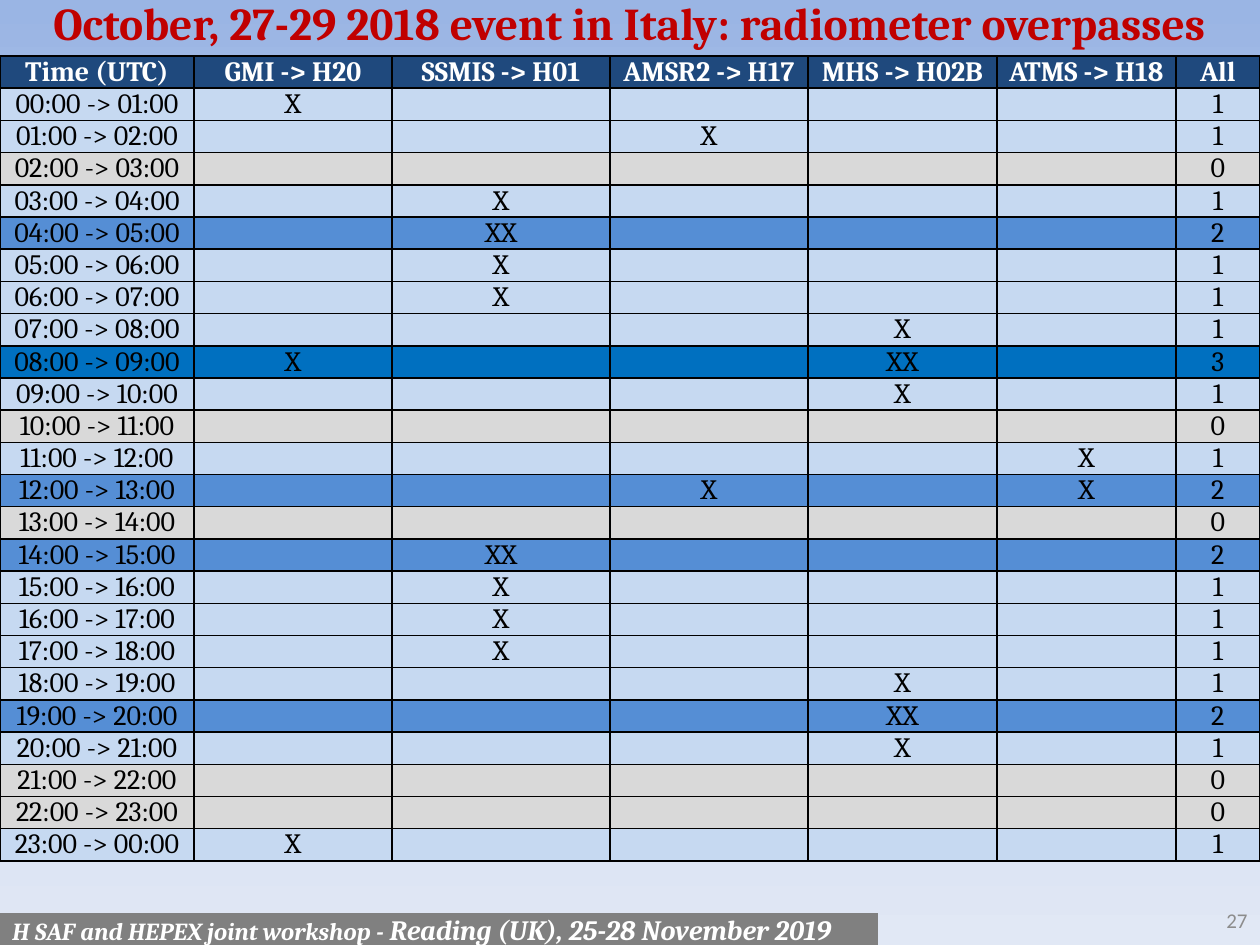
from copy import deepcopy

from lxml import etree
from pptx import Presentation
from pptx import util as u
from pptx.dml.color import RGBColor
from pptx.enum import shapes, text
from pptx.oxml.ns import qn

PX = u.Inches(1) // 126
COLORS = {
    "title": "C00000", "header": "1F497D", "white": "FFFFFF", "black": "000000",
    "footer": "808080", "number": "8C8C8C",
}
BACKGROUND = [(0, "9AB5E4"), (0.5, "C2D1ED"), (1, "E1E8F5")]
COUNT_FILLS = ["D9D9D9", "C6D9F1", "558ED5", "0070C0"]  # by overpasses per hour

HEADERS = ["Time (UTC)", "GMI -> H20", "SSMIS -> H01", "AMSR2 -> H17",
           "MHS -> H02B", "ATMS -> H18", "All"]
COLUMN_WIDTHS = [194, 198, 218, 198, 189, 179, 84]
HEADER_HEIGHT, ROW_HEIGHT = 30, 25
GMI, SSMIS, AMSR2, MHS, ATMS = range(1, 6)
OVERPASSES = {  # start hour: {column: marks}
    0: {GMI: "X"}, 1: {AMSR2: "X"}, 3: {SSMIS: "X"}, 4: {SSMIS: "XX"},
    5: {SSMIS: "X"}, 6: {SSMIS: "X"}, 7: {MHS: "X"}, 8: {GMI: "X", MHS: "XX"},
    9: {MHS: "X"}, 11: {ATMS: "X"}, 12: {AMSR2: "X", ATMS: "X"},
    14: {SSMIS: "XX"}, 15: {SSMIS: "X"}, 16: {SSMIS: "X"}, 17: {SSMIS: "X"},
    18: {MHS: "X"}, 19: {MHS: "XX"}, 20: {MHS: "X"}, 23: {GMI: "X"},
}


def rgb(value):
    return RGBColor.from_string(value)


def set_font(font, size, color, name="Cambria", bold=False, italic=False):
    font.name, font.size = name, u.Pt(size)
    font.bold, font.italic = bold, italic
    font.color.rgb = rgb(color)


def place(shape, left, top, width, height):
    shape.left, shape.top = left * PX, top * PX
    shape.width, shape.height = width * PX, height * PX


def paint_background(slide):
    fill = slide.background.fill
    fill.gradient()
    fill.gradient_angle = 270
    stop_list = slide.element.find(".//" + qn("a:gsLst"))
    stop_list.insert(1, deepcopy(stop_list[0]))
    for stop, (position, color) in zip(fill.gradient_stops, BACKGROUND):
        stop.position = position
        stop.color.rgb = rgb(color)


def add_title(slide):
    title = slide.shapes.title
    place(title, 0, 0, 1260, 45)
    frame = title.text_frame
    frame.text = "October, 27-29 2018 event in Italy: radiometer overpasses"
    frame.word_wrap = True
    frame.auto_size = text.MSO_AUTO_SIZE.NONE
    frame.vertical_anchor = text.MSO_ANCHOR.MIDDLE
    para = frame.paragraphs[0]
    para.alignment = text.PP_ALIGN.CENTER
    set_font(para.font, 26, COLORS["title"], bold=True)


def add_borders(cell):
    properties = cell._tc.get_or_add_tcPr()
    for side in ("a:lnL", "a:lnR", "a:lnT", "a:lnB"):
        line = etree.SubElement(properties, qn(side), w=str(u.Pt(1)))
        solid = etree.SubElement(line, qn("a:solidFill"))
        etree.SubElement(solid, qn("a:srgbClr"), val=COLORS["black"])


def fill_cell(cell, content, fill, color, bold):
    add_borders(cell)
    cell.fill.solid()
    cell.fill.fore_color.rgb = rgb(fill)
    cell.margin_left = cell.margin_right = cell.margin_top = cell.margin_bottom = 0
    cell.vertical_anchor = text.MSO_ANCHOR.BOTTOM
    cell.text = content
    para = cell.text_frame.paragraphs[0]
    para.alignment = text.PP_ALIGN.CENTER
    set_font(para.font, 16, color, bold=bold)
    if not content:  # an empty cell takes its line height from the end mark
        end = etree.SubElement(para._p, qn("a:endParaRPr"), sz="1600")
        etree.SubElement(end, qn("a:latin"), typeface="Cambria")


def hour_row(hour):
    """Return the cell texts of one hour and its number of overpasses."""
    marks = OVERPASSES.get(hour, {})
    total = sum(map(len, marks.values()))
    period = f"{hour:02}:00 -> {(hour + 1) % 24:02}:00"
    return [period, *(marks.get(col, "") for col in range(1, 6)), str(total)], total


def add_overpass_table(slide):
    holder = slide.shapes.add_table(25, len(HEADERS), 0, 56 * PX, 1260 * PX, 850 * PX)
    table = holder.table
    for column, width in zip(table.columns, COLUMN_WIDTHS):
        column.width = width * PX
    for index, row in enumerate(table.rows):
        if index == 0:
            row.height = HEADER_HEIGHT * PX
            contents, style = HEADERS, (COLORS["header"], COLORS["white"], True)
        else:
            row.height = ROW_HEIGHT * PX
            contents, total = hour_row(index - 1)
            style = (COUNT_FILLS[total], COLORS["black"], False)
        for cell, content in zip(row.cells, contents):
            fill_cell(cell, content, *style)
    place(holder, 0, 56, 1260, 850)


def add_footer(slide):
    bar = slide.shapes.add_shape(shapes.MSO_SHAPE.RECTANGLE, 0, 0, 0, 0)
    place(bar, 0, 913, 878, 32)
    bar.shadow.inherit = False
    bar.fill.solid()
    bar.fill.fore_color.rgb = rgb(COLORS["footer"])
    bar.line.fill.background()
    frame = bar.text_frame
    frame.word_wrap = True
    frame.vertical_anchor = text.MSO_ANCHOR.MIDDLE
    para = frame.paragraphs[0]
    para.alignment = text.PP_ALIGN.LEFT
    for content, size in [("H SAF and HEPEX joint workshop - ", 14),
                          ("Reading (UK), 25-28 November 2019", 16)]:
        span = para.add_run()
        span.text = content
        set_font(span.font, size, COLORS["white"], bold=True, italic=True)


def add_page_number(slide):
    box = slide.shapes.add_textbox(0, 0, 0, 0)
    place(box, 966, 895, 294, 50)
    frame = box.text_frame
    frame.word_wrap = True
    frame.vertical_anchor = text.MSO_ANCHOR.MIDDLE
    para = frame.paragraphs[0]
    para.text = "27"
    para.alignment = text.PP_ALIGN.RIGHT
    set_font(para.font, 12, COLORS["number"], name="Calibri")


def main():
    deck = Presentation()
    deck.slide_width, deck.slide_height = 1260 * PX, 945 * PX
    slide = deck.slides.add_slide(deck.slide_layouts[5])
    paint_background(slide)
    add_title(slide)
    add_overpass_table(slide)
    add_footer(slide)
    add_page_number(slide)
    deck.save("out.pptx")


if __name__ == "__main__":
    main()
